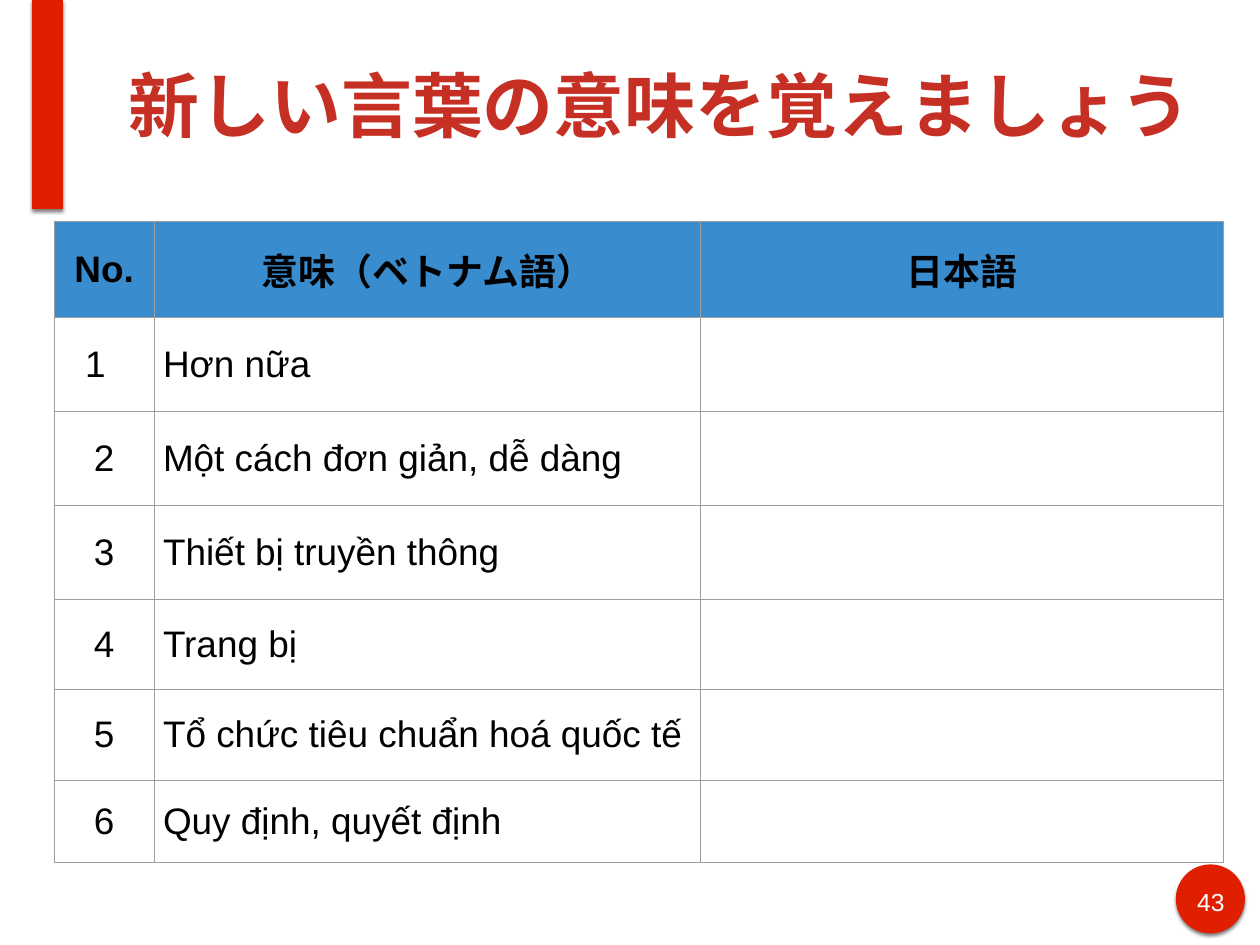
from lxml.etree import SubElement
from pptx import Presentation
from pptx.dml.color import RGBColor
from pptx.enum.shapes import MSO_SHAPE as Shape
from pptx.enum.text import MSO_ANCHOR as Anchor, MSO_AUTO_SIZE as AutoSize, PP_ALIGN as Align
from pptx.oxml.ns import qn
from pptx.util import Inches, Pt

WIDTH, HEIGHT = 14.22, 10.67
FONT = "Arial"
RED = RGBColor(0xDF, 0x1F, 0x00)
TITLE_RED = RGBColor(0xC6, 0x30, 0x24)
BLUE = RGBColor(0x39, 0x8C, 0xCE)
GREY = RGBColor(0x9E, 0x9E, 0x9E)
BLACK = RGBColor(0, 0, 0)
WHITE = RGBColor(0xFF, 0xFF, 0xFF)

COLUMNS = [1.13, 6.17, 5.9]
ROWS = [1.08, 1.07, 1.06, 1.06, 1.02, 1.02, 0.93]
HEADINGS = ["No.", "意味（ベトナム語）", "日本語"]
MEANINGS = [
    "Hơn nữa",
    "Một cách đơn giản, dễ dàng",
    "Thiết bị truyền thông",
    "Trang bị",
    "Tổ chức tiêu chuẩn hoá quốc tế",
    "Quy định, quyết định",
]


def inches(box):
    return [Inches(length) for length in box]


def write(frame, text, size=30, color=BLACK, bold=False, align=Align.LEFT):
    para = frame.paragraphs[0]
    para.alignment = align
    span = para.add_run()
    span.text = text
    span.font.name = FONT
    span.font.size = Pt(size)
    span.font.bold = bold
    span.font.color.rgb = color
    return para


def set_margins(holder, margin):
    holder.margin_left = holder.margin_right = Inches(margin)
    holder.margin_top = holder.margin_bottom = Inches(margin)


def add_red_shape(page, kind, box):
    shape = page.shapes.add_shape(kind, *inches(box))
    shape.fill.solid()
    shape.fill.fore_color.rgb = RED
    shape.line.fill.background()
    # Soft shadow straight below
    shape.shadow.inherit = False
    effects = shape._element.spPr.find(qn("a:effectLst"))
    shadow = SubElement(effects, qn("a:outerShdw"), blurRad=str(Pt(3)),
                        dist=str(Pt(2)), dir="5400000", rotWithShape="0")
    tint = SubElement(shadow, qn("a:srgbClr"), val=str(BLACK))
    SubElement(tint, qn("a:alpha"), val="50000")


def add_title(page, box, text):
    title = page.shapes.title
    title.left, title.top, title.width, title.height = inches(box)
    frame = title.text_frame
    frame.word_wrap = True
    frame.auto_size = AutoSize.NONE
    frame.vertical_anchor = Anchor.MIDDLE
    set_margins(frame, 0.06)
    frame.margin_right = 0
    write(frame, text, size=57.6, color=TITLE_RED, bold=True)


def add_page_number(page, box, number):
    left, top, width, height = box
    add_red_shape(page, Shape.OVAL, box)
    label = page.shapes.add_textbox(
        *inches((left + 0.15, top + 0.19, width - 0.29, height / 2)))
    frame = label.text_frame
    frame.word_wrap = True
    set_margins(frame, 0.06)
    write(frame, number, size=20, color=WHITE, align=Align.CENTER)


def style_cell(cell, fill=None):
    properties = cell._tc.get_or_add_tcPr()
    for side in ("a:lnL", "a:lnR", "a:lnT", "a:lnB"):
        line = SubElement(properties, qn(side), w=str(Pt(0.75)))
        SubElement(SubElement(line, qn("a:solidFill")), qn("a:srgbClr"), val=str(GREY))
    if fill is None:
        cell.fill.background()
    else:
        cell.fill.solid()
        cell.fill.fore_color.rgb = fill
    cell.vertical_anchor = Anchor.MIDDLE
    set_margins(cell, 0.1)


def add_word_table(page, left, top):
    box = (left, top, sum(COLUMNS), sum(ROWS))
    table = page.shapes.add_table(len(ROWS), len(COLUMNS), *inches(box)).table
    table.first_row = table.horz_banding = False
    for column, width in zip(table.columns, COLUMNS):
        column.width = Inches(width)
    for row, height in zip(table.rows, ROWS):
        row.height = Inches(height)

    # Heading row
    for index, heading in enumerate(HEADINGS):
        cell = table.cell(0, index)
        style_cell(cell, BLUE)
        write(cell.text_frame, heading, bold=True, align=Align.CENTER)

    # Numbered words, with the last column left open
    for number, meaning in enumerate(MEANINGS, 1):
        for index in range(len(COLUMNS)):
            style_cell(table.cell(number, index))
        align = Align.LEFT if number == 1 else Align.CENTER
        para = write(table.cell(number, 0).text_frame, str(number), align=align)
        if number == 1:
            indent = para._p.get_or_add_pPr()
            indent.set("marL", str(Inches(0.5)))
            indent.set("indent", str(Inches(-0.25)))
        write(table.cell(number, 1).text_frame, meaning)


def main():
    deck = Presentation()
    deck.slide_width, deck.slide_height = inches((WIDTH, HEIGHT))
    page = deck.slides.add_slide(deck.slide_layouts[5])
    add_red_shape(page, Shape.RECTANGLE, (0.36, 0, 0.35, 2.36))
    add_page_number(page, (13.27, 9.76, 0.78, 0.78), "43")
    add_word_table(page, 0.61, 2.5)
    add_title(page, (1.39, 0.12, 12.14, 2.12), "新しい言葉の意味を覚えましょう")
    deck.save("out.pptx")


if __name__ == "__main__":
    main()
